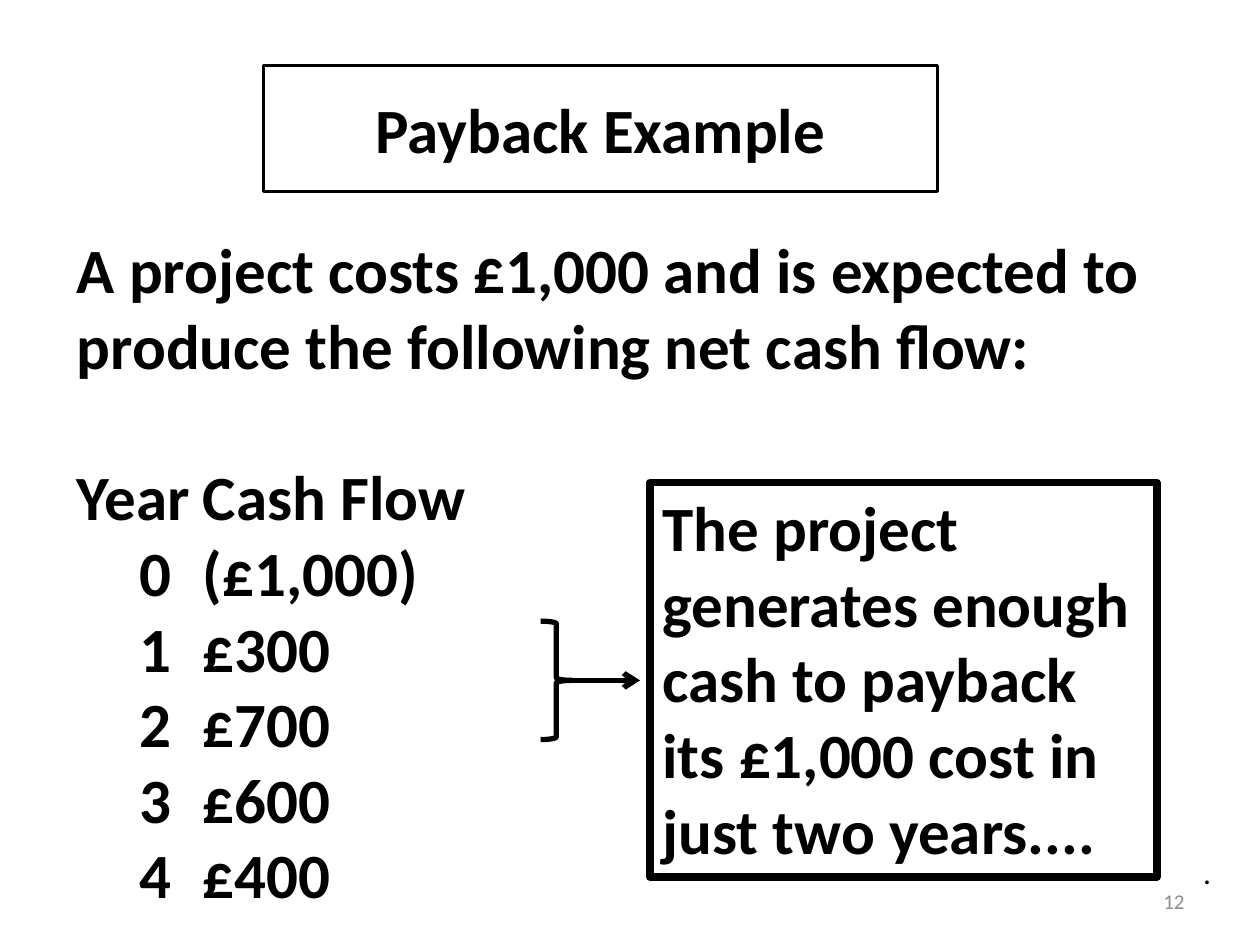
from lxml.etree import SubElement
from pptx import Presentation
from pptx.dml.color import RGBColor
from pptx.enum.shapes import MSO_CONNECTOR, MSO_SHAPE
from pptx.enum.text import MSO_ANCHOR, MSO_AUTO_SIZE, PP_ALIGN
from pptx.oxml.ns import qn
from pptx.util import Inches, Pt

COLOURS = {"ink": "000000", "paper": "FFFFFF", "number": "8C8C8C"}
FONT = "Calibri"
INTRO = ["A project costs £1,000 and is expected to",
         "produce the following net cash flow:"]
CASH_FLOWS = ["(£1,000)", "£300", "£700", "£600", "£400"]
PAYBACK = ["The project", "generates enough cash to payback",
           "its £1,000 cost in just two years...."]


def colour(name):
    """Return a named colour."""
    return RGBColor.from_string(COLOURS[name])


def place(shape, box):
    """Move a shape to a box of left, top, width and height in inches."""
    shape.left, shape.top, shape.width, shape.height = map(Inches, box)


def outline(shape, width):
    """Give a shape or connector a black line."""
    shape.line.color.rgb = colour("ink")
    shape.line.width = Pt(width)


def write(frame, lines, size=36, bold=True, ink="ink", align=PP_ALIGN.LEFT):
    """Fill a text frame with one formatted paragraph per line."""
    frame.text = "\n".join(lines)
    for paragraph in frame.paragraphs:
        paragraph.alignment = align
        paragraph.space_before = Pt(0)
        for span in paragraph.runs:
            span.font.name = FONT
            span.font.size = Pt(size)
            span.font.bold = bold
            span.font.color.rgb = colour(ink)


def set_tabs(paragraph, stops):
    """Remove the bullet and indent and set (inches, alignment) tab stops."""
    properties = paragraph._p.get_or_add_pPr()
    properties.set("marL", "0")
    properties.set("indent", "0")
    SubElement(properties, qn("a:buNone"))
    if stops:
        tabs = SubElement(properties, qn("a:tabLst"))
        for position, align in stops:
            SubElement(tabs, qn("a:tab"), pos=str(Inches(position)), algn=align)


def add_title(page, box):
    """Put the title in a rounded frame."""
    title = page.shapes.title
    place(title, box)
    geometry = SubElement(title._element.spPr, qn("a:prstGeom"), prst="roundRect")
    SubElement(geometry, qn("a:avLst"))
    outline(title, 2)
    write(title.text_frame, ["Payback Example"], align=PP_ALIGN.CENTER)
    title.text_frame.vertical_anchor = MSO_ANCHOR.MIDDLE


def add_cash_flows(page, box):
    """Write the introduction and the yearly cash flows in two columns."""
    body = page.placeholders[1]
    place(body, box)
    frame = body.text_frame
    rows = [f"\t{year}\t{flow}" for year, flow in enumerate(CASH_FLOWS)]
    write(frame, INTRO + ["Year\tCash Flow"] + rows)
    frame.auto_size = MSO_AUTO_SIZE.NONE
    header = len(INTRO)
    frame.paragraphs[header].space_before = Pt(43.5)
    for index, paragraph in enumerate(frame.paragraphs):
        if index < header:
            stops = []
        elif index == header:
            stops = [(2, "l")]
        else:
            stops = [(0.46, "ctr"), (2.96, "ctr")]
        set_tabs(paragraph, stops)


def add_payback_note(page, box):
    """Add the framed conclusion with the brace and arrow leading to it."""
    left, top, width, height = box
    note = page.shapes.add_shape(MSO_SHAPE.RECTANGLE, *map(Inches, box))
    brace = page.shapes.add_shape(
        MSO_SHAPE.RIGHT_BRACE, Inches(left - 0.87), Inches(top + 1.1),
        Inches(0.25), Inches(0.94))
    for shape, line_width in ((note, 4.5), (brace, 3)):
        shape.shadow.inherit = False
        shape.fill.background()
        outline(shape, line_width)
    write(note.text_frame, PAYBACK)
    note.text_frame.word_wrap = True
    note.text_frame.vertical_anchor = MSO_ANCHOR.TOP

    middle = Inches(top + 1.57)
    arrow = page.shapes.add_connector(
        MSO_CONNECTOR.STRAIGHT, Inches(left - 0.62), middle,
        Inches(left - 0.08), middle)
    outline(arrow, 3)
    SubElement(arrow.line._get_or_add_ln(), qn("a:tailEnd"), type="arrow")
    SubElement(arrow._element.spPr, qn("a:effectLst"))


def add_label(page, box, text, size, ink="ink", align=PP_ALIGN.LEFT):
    """Add a small line of plain text."""
    label = page.shapes.add_textbox(*map(Inches, box))
    write(label.text_frame, [text], size, False, ink, align)
    label.text_frame.word_wrap = True
    label.text_frame.vertical_anchor = MSO_ANCHOR.MIDDLE


deck = Presentation()
deck.slide_width, deck.slide_height = Inches(10), Inches(7.5)
page = deck.slides.add_slide(deck.slide_layouts[1])
page.background.fill.solid()
page.background.fill.fore_color.rgb = colour("paper")
add_title(page, (2.09, 0.52, 5.35, 1))
add_cash_flows(page, (0.51, 1.78, 8.73, 5.55))
add_payback_note(page, (5.16, 3.83, 4.02, 3.13))
add_label(page, (7.17, 6.95, 2.33, 0.4), "12", 12, "number", PP_ALIGN.RIGHT)
add_label(page, (9.45, 6.72, 0.27, 0.4), ".", 18)
deck.save("out.pptx")
